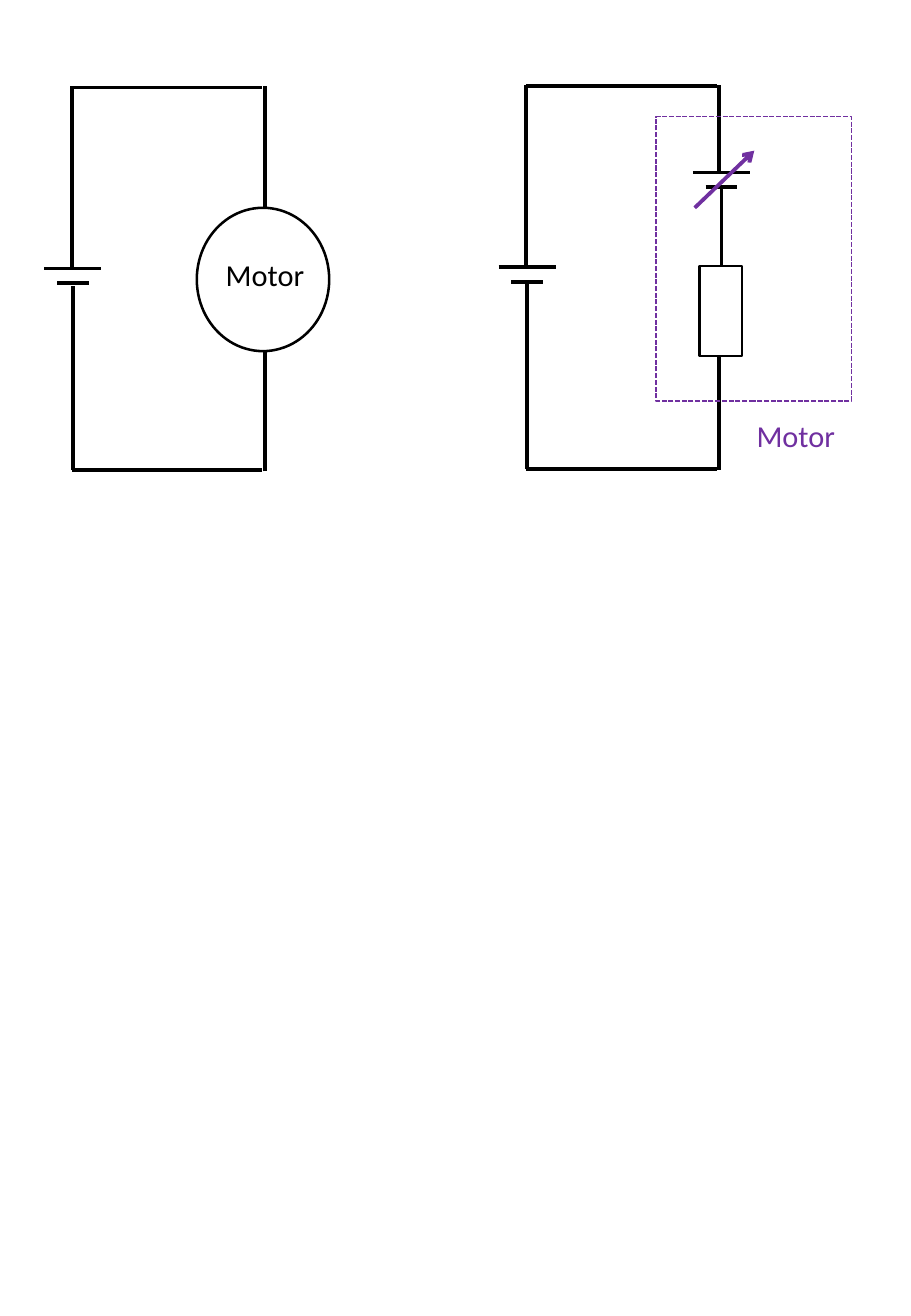
from lxml.etree import SubElement
from pptx import Presentation
from pptx.dml.color import RGBColor
from pptx.enum.dml import MSO_LINE
from pptx.enum.shapes import MSO_CONNECTOR, MSO_SHAPE
from pptx.enum.text import MSO_AUTO_SIZE
from pptx.oxml.ns import qn
from pptx.util import Inches, Pt

BLACK, WHITE, PURPLE = "000000", "FFFFFF", "7030A0"

# Content: top-left corner of each loop and the end of its upper right wire
LOOPS = [
    {"corner": (0.59, 0.72), "load_top": 1.71},
    {"corner": (4.33, 0.71), "load_top": 1.42},
]
LOOP_WIDTH, LOOP_HEIGHT = 1.57, 3.15
SUPPLY_DROP = 1.49
LOAD_BOTTOM = 2.88
CELL_GAP = 0.12
PLATE_HALVES = (0.235, 0.13)
MOTOR_CELL = (5.94, 1.42)

# preset, position and size, fill, line colour, line width, dash
PARTS = [
    (MSO_SHAPE.OVAL, (1.62, 1.71, 1.09, 1.18), WHITE, BLACK, 1.5, None),
    (MSO_SHAPE.RECTANGLE, (5.76, 2.19, 0.35, 0.74), WHITE, BLACK, 1.5, None),
    (MSO_SHAPE.RECTANGLE, (5.4, 0.96, 1.61, 2.34), None, PURPLE, 1,
     MSO_LINE.SQUARE_DOT),
]
LABELS = [
    ("Motor", (1.76, 2.06, 0.85, 0.4), BLACK),
    ("Motor", (6.13, 3.38, 0.85, 0.4), PURPLE),
]

deck = Presentation()
deck.slide_width, deck.slide_height = Inches(7.5), Inches(10.83)
page = deck.slides.add_slide(deck.slide_layouts[6])


def color(value):
    return RGBColor.from_string(value)


def add_line(start, end, line_color=BLACK, arrow=False):
    points = [Inches(value) for value in (*start, *end)]
    line = page.shapes.add_connector(MSO_CONNECTOR.STRAIGHT, *points)
    line.line.color.rgb = color(line_color)
    line.line.width = Pt(2.25)
    if arrow:
        SubElement(line.line._get_or_add_ln(), qn("a:tailEnd"), type="arrow")
    SubElement(line._element.spPr, qn("a:effectLst"))


def add_cell(center, top):
    for row, half in enumerate(PLATE_HALVES):
        level = top + row * CELL_GAP
        add_line((center - half, level), (center + half, level))


def add_part(preset, place, fill, line_color, width, dash):
    part = page.shapes.add_shape(preset, *map(Inches, place))
    part.shadow.inherit = False
    if fill:
        part.fill.solid()
        part.fill.fore_color.rgb = color(fill)
    else:
        part.fill.background()
    part.line.color.rgb = color(line_color)
    part.line.width = Pt(width)
    if dash:
        part.line.dash_style = dash


def add_label(text, place, text_color):
    box = page.shapes.add_textbox(*map(Inches, place))
    box.text_frame.word_wrap = False
    box.text_frame.auto_size = MSO_AUTO_SIZE.SHAPE_TO_FIT_TEXT
    span = box.text_frame.paragraphs[0].add_run()
    span.text = text
    for name, value in {"name": "Calibri", "size": Pt(18)}.items():
        setattr(span.font, name, value)
    span.font.color.rgb = color(text_color)


# Wires and supply cell of each loop
for loop in LOOPS:
    left, top = loop["corner"]
    right, bottom = left + LOOP_WIDTH, top + LOOP_HEIGHT
    load_wire = right + 0.02
    supply = top + SUPPLY_DROP
    for level in (top, bottom):
        add_line((left, level), (right, level))
    add_cell(left + 0.01, supply)
    add_line((left, supply), (left, top - 0.01))
    add_line((left + 0.01, bottom), (left + 0.01, supply + CELL_GAP + 0.02))
    add_line((load_wire, loop["load_top"]), (load_wire, top - 0.01))
    add_line((load_wire, bottom + 0.01), (load_wire, LOAD_BOTTOM))

# Variable cell inside the motor model
add_cell(*MOTOR_CELL)
add_line((MOTOR_CELL[0], 2.21), (MOTOR_CELL[0], MOTOR_CELL[1] + CELL_GAP))

# Motor circle, resistor and motor outline
for part in PARTS:
    add_part(*part)
for label in LABELS:
    add_label(*label)

# Arrow marking the cell as variable
add_line((5.72, 1.71), (6.21, 1.24), PURPLE, arrow=True)

deck.save("out.pptx")
